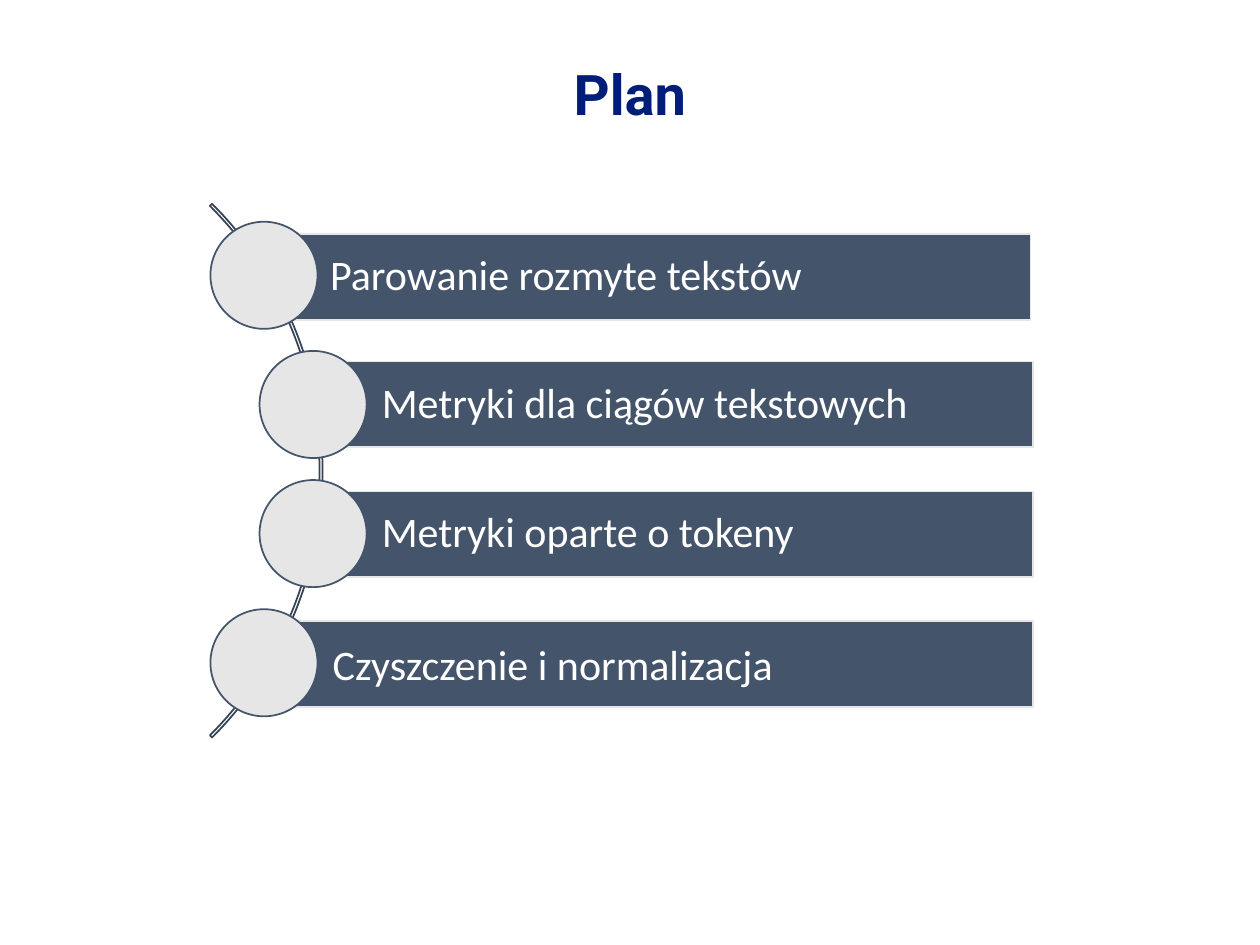
from pptx import Presentation
from pptx import util as u
from pptx.dml.color import RGBColor
from pptx.enum import shapes, text

NAVY, SLATE, ARC_LINE = "001D77", "44546A", "364355"
LIGHT, WHITE = "E7E6E6", "FFFFFF"
BAR_HEIGHT, CIRCLE_SIZE, ROW_STEP = 0.68, 0.85, 1.025

# Topic, bar left, bar width, bar top, circle left, line spacing
TOPICS = [
    ("Parowanie rozmyte tekstów", 2.08, 6.1, 1.86, 1.67, 0.9),
    ("Metryki dla ciągów tekstowych", 2.49, 5.71, 2.87, 2.06, 0.9),
    ("Metryki oparte o tokeny", 2.49, 5.71, 3.9, 2.06, 0.9),
    ("Czyszczenie i normalizacja", 2.1, 6.1, 4.93, 1.67, 1.0),
]


def color(value):
    return RGBColor.from_string(value)


def add_shape(slide, kind, box, fill, line):
    shape = slide.shapes.add_shape(kind, *map(u.Inches, box))
    shape.shadow.inherit = False
    if fill:
        shape.fill.solid()
        shape.fill.fore_color.rgb = color(fill)
    else:
        shape.fill.background()
    shape.line.color.rgb = color(line)
    shape.line.width = u.Pt(1)
    return shape


def set_title(slide, box, wording):
    title = slide.shapes.title
    title.left, title.top, title.width, title.height = map(u.Inches, box)
    frame = title.text_frame
    frame.text = wording
    frame.vertical_anchor = text.MSO_ANCHOR.TOP
    paragraph = frame.paragraphs[0]
    paragraph.alignment = text.PP_ALIGN.CENTER
    font = paragraph.font
    font.name, font.size, font.bold = "Roboto", u.Pt(32), True
    font.color.rgb = color(NAVY)


def add_arc(slide, box):
    arc = add_shape(slide, shapes.MSO_SHAPE.BLOCK_ARC, box, None, ARC_LINE)
    # From 315 to 45 degrees, as a thin band
    for index, value in enumerate((189, 27, 0.004)):
        arc.adjustments[index] = value


def add_bar(slide, box, wording, line_spacing):
    bar = add_shape(slide, shapes.MSO_SHAPE.RECTANGLE, box, SLATE, LIGHT)
    frame = bar.text_frame
    frame.text = wording
    frame.word_wrap = True
    frame.vertical_anchor = text.MSO_ANCHOR.MIDDLE
    frame.margin_left = u.Inches(0.54)
    frame.margin_top = frame.margin_right = frame.margin_bottom = u.Inches(0.07)
    paragraph = frame.paragraphs[0]
    paragraph.alignment = text.PP_ALIGN.LEFT
    paragraph.line_spacing = line_spacing
    paragraph.font.name, paragraph.font.size = "Calibri", u.Pt(24)
    paragraph.font.color.rgb = color(WHITE)


def add_agenda(slide, first_circle_top):
    add_arc(slide, (-3.43, 0.74, 5.99, 5.99))
    for row, (topic, left, width, top, circle_left, spacing) in enumerate(TOPICS):
        add_bar(slide, (left, top, width, BAR_HEIGHT), topic, spacing)
        circle_top = first_circle_top + row * ROW_STEP
        circle_box = (circle_left, circle_top, CIRCLE_SIZE, CIRCLE_SIZE)
        add_shape(slide, shapes.MSO_SHAPE.OVAL, circle_box, LIGHT, SLATE)


def main():
    presentation = Presentation()
    presentation.slide_width = u.Inches(10)
    presentation.slide_height = u.Inches(7.5)
    slide = presentation.slides.add_slide(presentation.slide_layouts[5])
    set_title(slide, (0.3, 0.42, 9.4, 0.64), "Plan")
    add_agenda(slide, 1.76)
    presentation.save("out.pptx")


if __name__ == "__main__":
    main()
